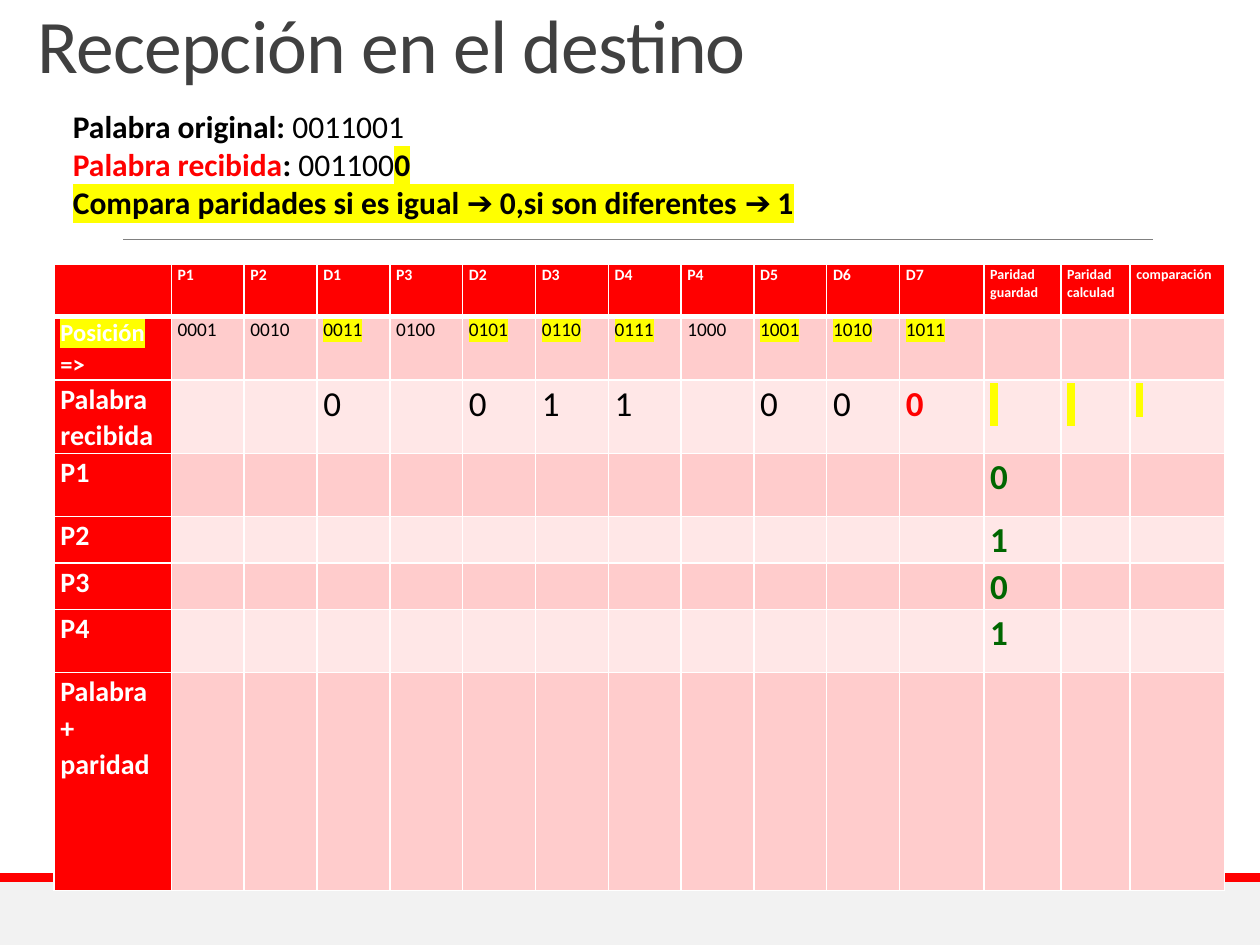
from lxml.etree import SubElement
from pptx import Presentation
from pptx.dml.color import RGBColor
from pptx.enum.shapes import MSO_CONNECTOR as Connector, MSO_SHAPE as Shape
from pptx.enum.text import MSO_ANCHOR as Anchor, MSO_AUTO_SIZE as AutoSize, PP_ALIGN as Align
from pptx.oxml.ns import qn
from pptx.util import Inches, Pt

RED, WHITE, BLACK, YELLOW, GREEN = "FF0000", "FFFFFF", "000000", "FFFF00", "006600"
BANDS = ("FFE7E7", "FFCCCC")
FONT = "Calibri"

TABLE_WIDTH = 9.29
LABEL_WIDTH = 0.93
PARITY_WIDTHS = [0.67, 0.61, 0.55, 0.75][:0] + [0.61, 0.55, 0.75]
ROW_HEIGHTS = [0.41, 0.24, 0.58, 0.5, 0.37, 0.37, 0.5, 1.73]
BITS = ["P1", "P2", "D1", "P3", "D2", "D3", "D4", "P4", "D5", "D6", "D7"]
LAST_BIT_WIDTH = 0.67
BIT_WIDTH = (TABLE_WIDTH - LABEL_WIDTH - LAST_BIT_WIDTH - sum(PARITY_WIDTHS)) / (len(BITS) - 1)
COLUMN_WIDTHS = [LABEL_WIDTH] + [BIT_WIDTH] * (len(BITS) - 1) + [LAST_BIT_WIDTH] + PARITY_WIDTHS
PARITY_HEADERS = ["Paridad guardad", "Paridad calculad", "comparación"]
RECEIVED = {"D1": "0", "D2": "0", "D3": "1", "D4": "1", "D5": "0", "D6": "0", "D7": "0"}
STORED_PARITY = {"P1": "0", "P2": "1", "P3": "0", "P4": "1"}
PARITY_COLUMN = len(BITS) + 1


def rgb(value):
    return RGBColor.from_string(value)


def write(paragraph, text, size=18, color=BLACK, bold=False, highlight=None,
          character_spacing=None, line_spacing=None, align=None):
    if line_spacing:
        paragraph.line_spacing = line_spacing
    if align is not None:
        paragraph.alignment = align
    run = paragraph.add_run()
    run.text = text
    run.font.size = Pt(size)
    run.font.bold = bold
    run.font.color.rgb = rgb(color)
    properties = run.font._element
    if highlight:
        SubElement(SubElement(properties, qn("a:highlight")), qn("a:srgbClr"), val=highlight)
    if character_spacing:
        properties.set("spc", str(int(character_spacing * 100)))
    run.font.name = FONT


def add_bar(slide, left, top, width, height, color):
    bar = slide.shapes.add_shape(Shape.RECTANGLE, Inches(left), Inches(top),
                                 Inches(width), Inches(height))
    bar.shadow.inherit = False
    bar.fill.solid()
    bar.fill.fore_color.rgb = rgb(color)
    bar.line.fill.background()


def add_rule(slide, left, top, width):
    rule = slide.shapes.add_connector(Connector.STRAIGHT, Inches(left), Inches(top),
                                      Inches(left + width), Inches(top))
    rule.line.color.rgb = rgb("808080")
    rule.line.width = Pt(0.5)
    SubElement(rule._element.spPr, qn("a:effectLst"))


def add_footer(slide, left, top, width, height):
    add_bar(slide, left, top, width, height, "F2F2F2")
    add_bar(slide, left, top - 0.07, width, 0.07, RED)


def add_title(slide, left, top, width, height):
    title = slide.shapes.title
    title.left, title.top = Inches(left), Inches(top)
    title.width, title.height = Inches(width), Inches(height)
    frame = title.text_frame
    frame.auto_size = AutoSize.NONE
    frame.vertical_anchor = Anchor.BOTTOM
    write(frame.paragraphs[0], "Recepción en el destino", size=43.2, color="404040",
          character_spacing=-0.5, line_spacing=0.85, align=Align.LEFT)


def add_word_summary(slide, left, top, width, height):
    box = slide.shapes.add_textbox(Inches(left), Inches(top), Inches(width), Inches(height))
    frame = box.text_frame
    frame.word_wrap = True
    frame.auto_size = AutoSize.SHAPE_TO_FIT_TEXT
    original = frame.paragraphs[0]
    write(original, "Palabra original: ", bold=True)
    write(original, "0011001")
    received = frame.add_paragraph()
    write(received, "Palabra recibida", color=RED, bold=True)
    write(received, ": ", bold=True)
    write(received, "001100")
    write(received, "0", bold=True, highlight=YELLOW)
    write(frame.add_paragraph(), "Compara paridades si es igual ➔ 0,si son diferentes ➔ 1",
          bold=True, highlight=YELLOW)


def format_cell(cell, fill, top_border, bottom_border):
    cell.margin_left = cell.margin_right = Inches(0.05)
    cell.margin_top = cell.margin_bottom = 0
    properties = cell._tc.get_or_add_tcPr()
    for side, width in zip("LRTB", (1, 1, top_border, bottom_border)):
        border = SubElement(properties, qn(f"a:ln{side}"), w=str(Pt(width)))
        SubElement(SubElement(border, qn("a:solidFill")), qn("a:srgbClr"), val=WHITE)
    cell.fill.solid()
    cell.fill.fore_color.rgb = rgb(fill)


def add_parity_table(slide, left, top):
    shape = slide.shapes.add_table(len(ROW_HEIGHTS), len(COLUMN_WIDTHS), Inches(left), Inches(top),
                                   Inches(TABLE_WIDTH), Inches(sum(ROW_HEIGHTS)))
    table = shape.table
    table.horz_banding = False
    for column, width in zip(table.columns, COLUMN_WIDTHS):
        column.width = Inches(width)
    for row_index, height in enumerate(ROW_HEIGHTS):
        table.rows[row_index].height = Inches(height)
        for column_index in range(len(COLUMN_WIDTHS)):
            is_header = row_index == 0 or column_index == 0
            format_cell(table.cell(row_index, column_index),
                        RED if is_header else BANDS[row_index % 2],
                        3 if row_index == 1 else 1, 3 if row_index == 0 else 1)

    def fill_cell(row, column, text, **style):
        write(table.cell(row, column).text_frame.paragraphs[0], text, line_spacing=1.07, **style)

    for column, bit in enumerate(BITS, start=1):
        is_data = bit.startswith("D")
        fill_cell(0, column, bit, size=9, color=WHITE, bold=True)
        fill_cell(1, column, f"{column:04b}", size=11, highlight=YELLOW if is_data else None)
        if is_data:
            is_wrong = bit == "D7"
            fill_cell(2, column, RECEIVED[bit], size=20, color=RED if is_wrong else BLACK,
                      bold=is_wrong)
    for column, (header, size) in enumerate(zip(PARITY_HEADERS, (20, 20, 16)), PARITY_COLUMN):
        fill_cell(0, column, header, size=8, color=WHITE, bold=True)
        fill_cell(2, column, " ", size=size, highlight=YELLOW)

    fill_cell(1, 0, "Posición", size=14, color=WHITE, bold=True, highlight=YELLOW)
    fill_cell(1, 0, " =>", size=14, color=WHITE, bold=True)
    row_labels = ["Palabra recibida", *STORED_PARITY, "Palabra + paridad"]
    for row, label in enumerate(row_labels, start=2):
        fill_cell(row, 0, label, size=16, color=WHITE, bold=True)
        if label in STORED_PARITY:
            fill_cell(row, PARITY_COLUMN, STORED_PARITY[label], size=20, color=GREEN, bold=True)


def main():
    presentation = Presentation()
    presentation.slide_width, presentation.slide_height = Inches(10), Inches(7.5)
    slide = presentation.slides.add_slide(presentation.slide_layouts[5])
    add_footer(slide, 0, 7, 10, 0.5)
    add_rule(slide, 0.98, 1.9, 8.17)
    add_title(slide, 0.2, 0.13, 8.95, 0.63)
    add_parity_table(slide, 0.43, 2.1)
    add_word_summary(slide, 0.48, 0.8, 6.65, 1.01)
    presentation.save("out.pptx")


if __name__ == "__main__":
    main()
